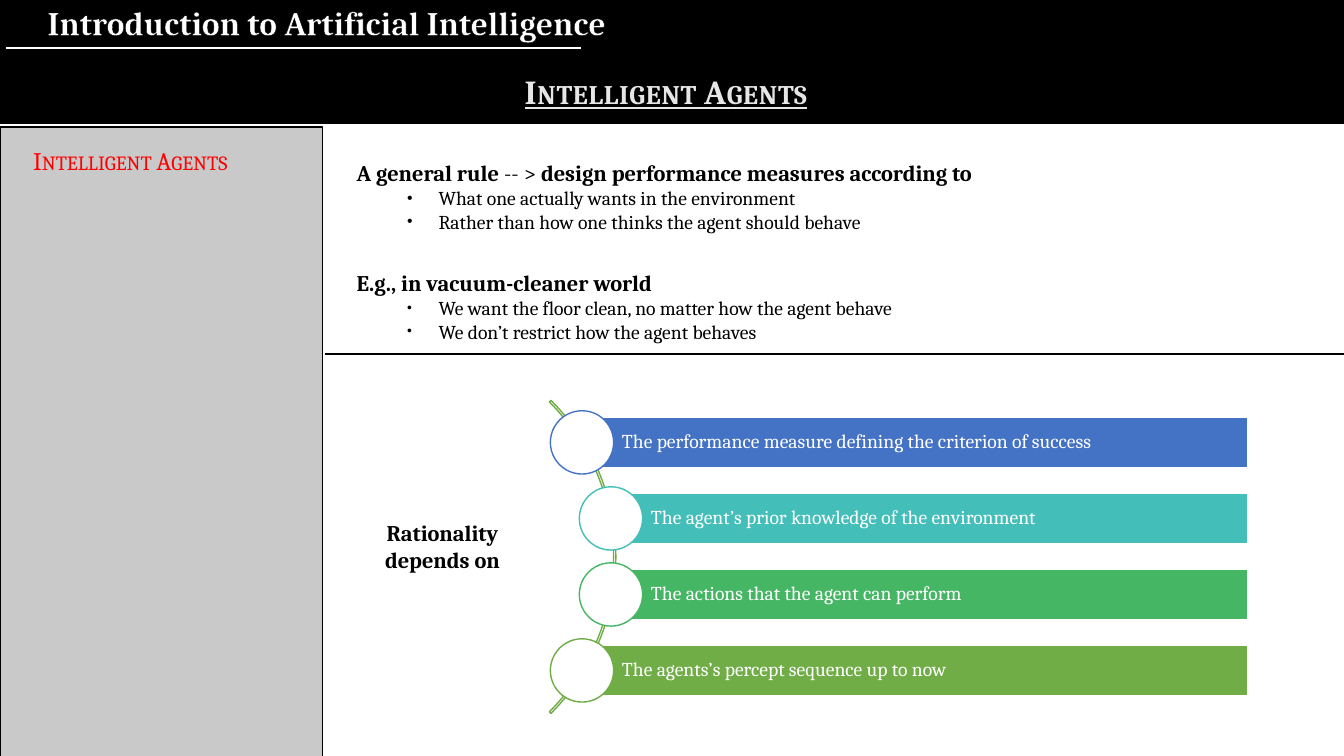
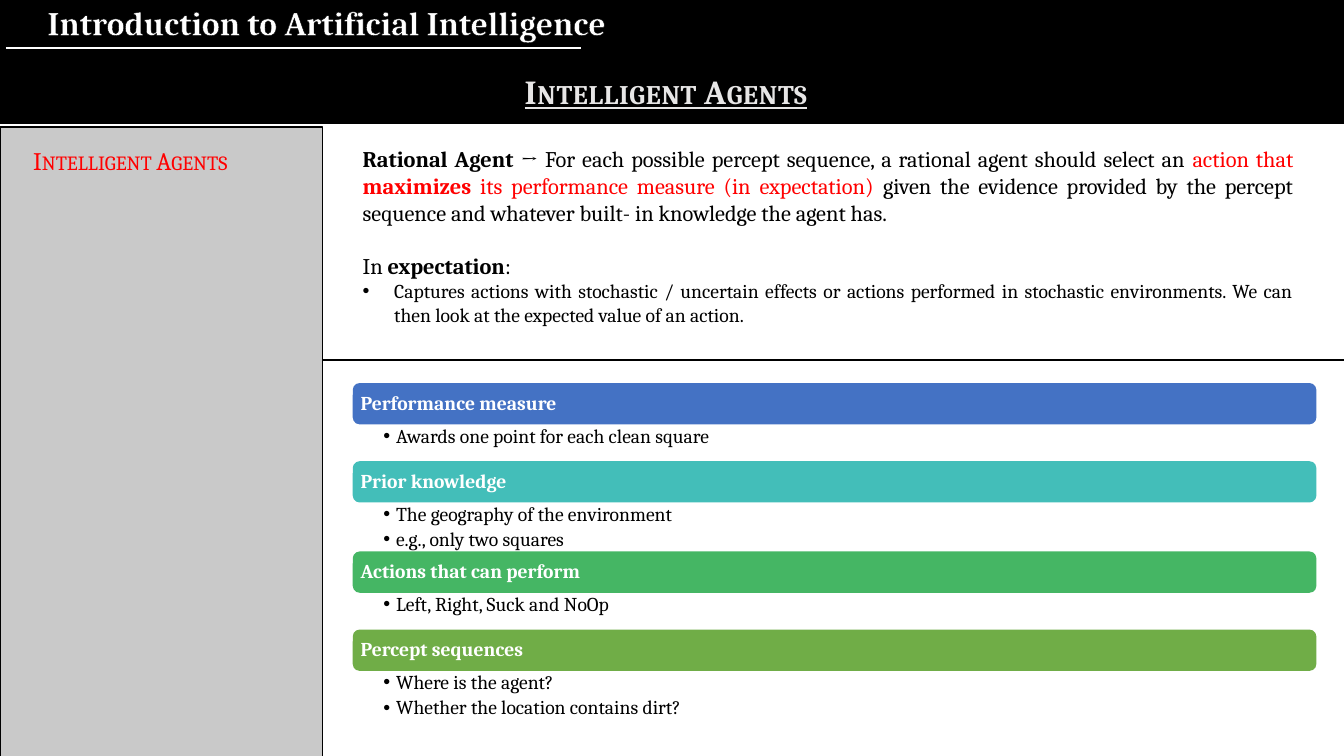
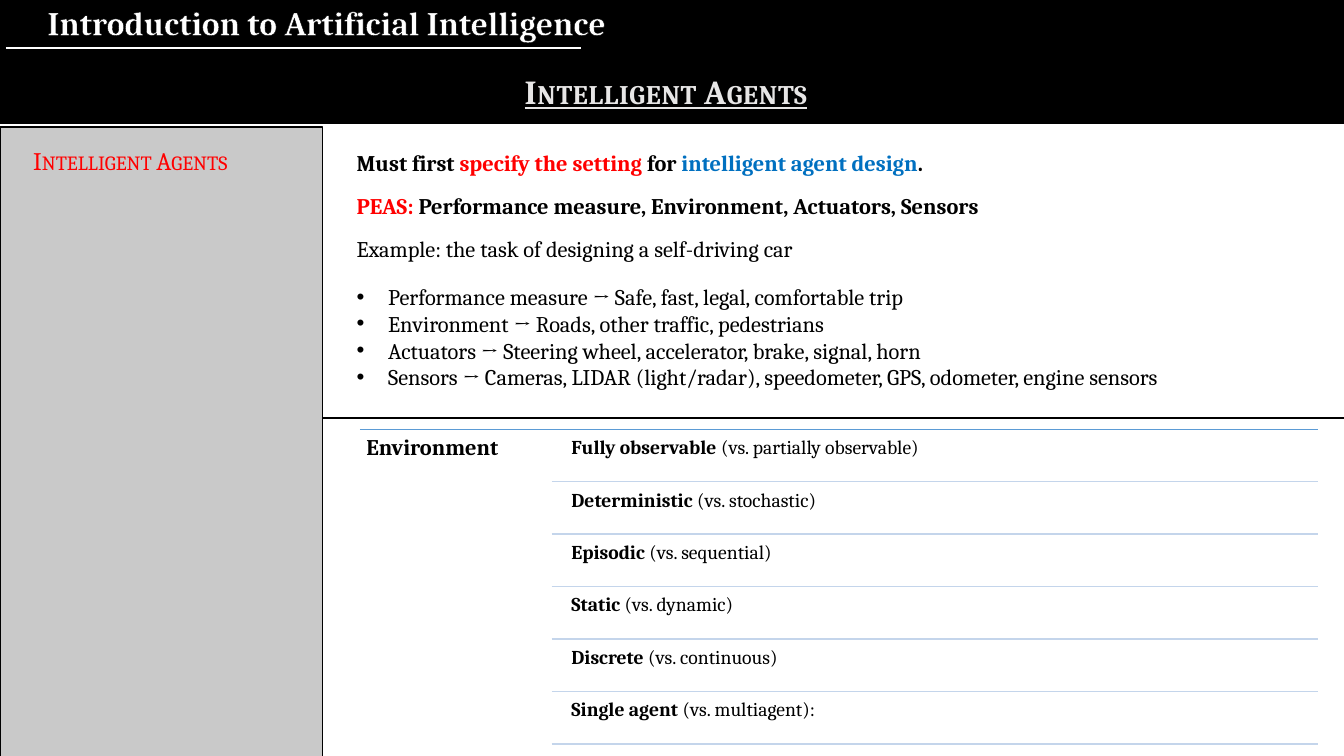
from collections import namedtuple

from lxml import etree
from pptx import Presentation
from pptx import util as u
from pptx.dml import color as c
from pptx.enum import shapes, text
from pptx.oxml import ns

Pt = u.Pt
Box = namedtuple("Box", "left top width height")

BLACK = c.RGBColor(0x00, 0x00, 0x00)
WHITE = c.RGBColor(0xFF, 0xFF, 0xFF)
PALE = c.RGBColor(0xE7, 0xE6, 0xE6)
GREY = c.RGBColor(0xC9, 0xC9, 0xC9)
RED = c.RGBColor(0xFF, 0x00, 0x00)
STRONG_BLUE = c.RGBColor(0x00, 0x70, 0xC0)
SKY = c.RGBColor(0x5B, 0x9B, 0xD5)
PALE_BLUE = c.RGBColor(0xC4, 0xD5, 0xEB)
BLUE = c.RGBColor(0x44, 0x72, 0xC4)
TEAL = c.RGBColor(0x43, 0xBE, 0xB9)
GREEN = c.RGBColor(0x45, 0xB6, 0x64)
OLIVE = c.RGBColor(0x70, 0xAD, 0x47)
ACCENTS = (BLUE, TEAL, GREEN, OLIVE)

FONT = "Cambria"
CENTER = text.PP_ALIGN.CENTER
LEFT = text.PP_ALIGN.LEFT
JUSTIFY = text.PP_ALIGN.JUSTIFY
SUBPOINT = dict(size=14, level=1, margin=58.5, hanging=22.5)
POINT = dict(margin=22.5, hanging=22.5, bullet=100)


def place(shape, box):
    shape.left, shape.top, shape.width, shape.height = (Pt(v) for v in box)


def set_frame(frame, wrap=True, grow=True, insets=None, anchor=text.MSO_ANCHOR.TOP):
    frame.word_wrap = wrap
    frame.auto_size = (
        text.MSO_AUTO_SIZE.SHAPE_TO_FIT_TEXT if grow else text.MSO_AUTO_SIZE.NONE
    )
    frame.vertical_anchor = anchor
    if insets:
        (frame.margin_left, frame.margin_top,
         frame.margin_right, frame.margin_bottom) = (Pt(v) for v in insets)
    return frame


def add_text_box(page, box, **options):
    shape = page.shapes.add_textbox(*(Pt(v) for v in box))
    return set_frame(shape.text_frame, **options)


def add_block(page, kind, box, fill=None, line=None):
    shape = page.shapes.add_shape(kind, *(Pt(v) for v in box))
    shape.shadow.inherit = False
    if fill is None:
        shape.fill.background()
    else:
        shape.fill.solid()
        shape.fill.fore_color.rgb = fill
    if line is None:
        shape.line.fill.background()
    else:
        shape.line.color.rgb = line
        shape.line.width = Pt(1)
    return shape


def add_rule(page, left, right, y, color=BLACK, width=1.5):
    rule = page.shapes.add_connector(
        shapes.MSO_CONNECTOR.STRAIGHT, Pt(left), Pt(y), Pt(right), Pt(y)
    )
    rule.line.color.rgb = color
    rule.line.width = Pt(width)
    etree.SubElement(rule.element.spPr, ns.qn("a:effectLst"))


def set_bullet(para, margin, hanging, bullet):
    props = para._p.get_or_add_pPr()
    props.set("marL", str(Pt(margin)))
    props.set("indent", str(-Pt(hanging)))
    etree.SubElement(props, ns.qn("a:buSzPct")).set("val", str(bullet * 1000))
    etree.SubElement(props, ns.qn("a:buFont")).set("typeface", "Arial")
    etree.SubElement(props, ns.qn("a:buChar")).set("char", "•")


def write(frame, words, size=16, color=BLACK, bold=False, underline=None,
          small_caps=False, tracking=None, outline=None, align=LEFT, spacing=None,
          before=0, after=0, level=0, margin=0, hanging=0, bullet=None):
    para = frame.paragraphs[0]
    if para.runs:
        para = frame.add_paragraph()
    para.alignment = align
    para.level = level
    para.space_before, para.space_after = Pt(before), Pt(after)
    if spacing:
        para.line_spacing = spacing
    if bullet:
        set_bullet(para, margin, hanging, bullet)
    pieces = [(words, {})] if isinstance(words, str) else words
    for piece, change in pieces:
        span = para.add_run()
        span.text = piece
        font = span.font
        font.name, font.size = FONT, Pt(size)
        font.bold = change.get("bold", bold)
        font.underline = underline
        font.color.rgb = change.get("color", color)
        props = span._r.get_or_add_rPr()
        if small_caps:
            props.set("cap", "small")
        if tracking:
            props.set("spc", str(int(tracking * 100)))
        if outline is not None:
            line = etree.Element(ns.qn("a:ln"), w=str(Pt(1)))
            fill = etree.SubElement(line, ns.qn("a:solidFill"))
            etree.SubElement(fill, ns.qn("a:srgbClr")).set("val", str(outline))
            props.insert(0, line)


def add_page(deck):
    page = deck.slides.add_slide(deck.slide_layouts[5])
    add_header(page, Box(0, 0, 961, 88))
    add_sidebar(page, Box(0, 90.7, 230.4, 450.7))
    return page


def add_header(page, box):
    band = add_block(page, shapes.MSO_SHAPE.RECTANGLE, box, BLACK, BLACK)
    title = page.shapes.title
    band.element.addnext(title.element)
    place(title, Box(box.left + 0.7, box.top + 46.8, 959, 36))
    write(set_frame(title.text_frame), "Intelligent Agents", size=24, color=PALE,
          bold=True, underline=True, small_caps=True, tracking=0.5, align=CENTER)
    add_rule(page, box.left + 4.3, box.left + 414.7, box.top + 34.4, WHITE)
    course = add_text_box(page, Box(box.left - 5.8, box.top - 2.2, 478, 36), wrap=False)
    write(course, "Introduction to Artificial Intelligence", size=24, color=WHITE,
          bold=True, outline=BLACK, align=CENTER)


def add_sidebar(page, box):
    add_block(page, shapes.MSO_SHAPE.RECTANGLE, box, GREY, BLACK)
    topic = add_text_box(page, Box(box.left + 16.6, box.top + 9.4, 179.3, 29), wrap=False)
    write(topic, "Intelligent Agents", size=18, color=RED, small_caps=True)


def add_rules_of_design(page, box):
    general = add_text_box(page, Box(box.left, box.top, box.width, 70.6))
    write(general, [("A general rule ", {}), ("-- > ", {"bold": False}),
                    ("design performance measures according to", {})],
          bold=True, spacing=1.5)
    for line in ("What one actually wants in the environment",
                 "Rather than how one thinks the agent should behave"):
        write(general, line, bullet=80, **SUBPOINT)
    example = add_text_box(page, Box(box.left, box.top + 87.9, box.width, 60.5))
    write(example, "E.g., in vacuum-cleaner world", bold=True)
    for line in ("We want the floor clean, no matter how the agent behave",
                 "We don’t restrict how the agent behaves"):
        write(example, line, bullet=70, **SUBPOINT)


def add_rationality_factors(page, box, factors):
    label = add_text_box(page, Box(box.left, box.top + 127.2, 136.8, 46))
    write(label, "Rationality depends on", bold=True, align=CENTER)
    arc = add_block(page, shapes.MSO_SHAPE.BLOCK_ARC,
                    Box(box.left - 123.8, box.top, 316, 316), line=OLIVE)
    for index, value in enumerate((189, 27, 0.005)):
        arc.adjustments[index] = value
    step, height, circle = 54.3, 36, 45.2
    right = box.left + box.width
    for index, (factor, accent) in enumerate(zip(factors, ACCENTS)):
        outer = index in (0, len(factors) - 1)
        left = box.left + (168 if outer else 188.7)
        top = box.top + 58.2 + index * step
        bar = add_block(page, shapes.MSO_SHAPE.RECTANGLE,
                        Box(left, top, right - left, height), accent, WHITE)
        frame = set_frame(bar.text_frame, grow=False, insets=(28.6, 2.8, 2.8, 2.8),
                          anchor=text.MSO_ANCHOR.MIDDLE)
        write(frame, factor, size=14, color=WHITE, spacing=0.9)
        add_block(page, shapes.MSO_SHAPE.OVAL,
                  Box(left - circle / 2, top + (height - circle) / 2, circle, circle),
                  WHITE, accent)


def add_rational_agent(page, box):
    frame = add_text_box(page, box)
    write(frame, [
        ("Rational Agent ", {"bold": True}),
        ("→ For each possible percept sequence, a rational agent should select an ", {}),
        ("action that ", {"color": RED}),
        ("maximizes", {"color": RED, "bold": True}),
        (" its performance measure (in expectation) ", {"color": RED}),
        ("given the evidence provided by the percept sequence and whatever built- in "
         "knowledge the agent has.", {}),
    ], align=JUSTIFY, after=19.2)
    write(frame, [("In ", {}), ("expectation", {"bold": True}), (":", {})], align=JUSTIFY)
    write(frame, "Captures actions with stochastic / uncertain effects or actions performed "
          "in stochastic environments. We can then look at the expected value of an action.",
          size=14, align=JUSTIFY, **POINT)


def add_headed_lists(page, box, groups):
    bar_height, top = 29.5, box.top
    for (heading, items), accent in zip(groups, ACCENTS):
        bar = add_block(page, shapes.MSO_SHAPE.ROUNDED_RECTANGLE,
                        Box(box.left, top, box.width, bar_height), accent)
        frame = set_frame(bar.text_frame, grow=False, insets=(4.2,) * 4,
                          anchor=text.MSO_ANCHOR.MIDDLE)
        write(frame, heading, size=14, color=WHITE, bold=True, spacing=0.9)
        top += bar_height
        list_height = 26.3 if len(items) == 1 else 35
        frame = add_text_box(page, Box(box.left, top, box.width, list_height),
                             grow=False, insets=(21.9, 1.3, 7.7, 1.3))
        for item in items:
            write(frame, item, size=14, spacing=0.9, after=2.8, level=1,
                  margin=9, hanging=9, bullet=100)
        top += list_height


def add_task_setting(page, box):
    frame = add_text_box(page, box)
    loose = dict(spacing=0.8, after=15.3)
    write(frame, [("Must first ", {}), ("specify the setting ", {"color": RED}),
                  ("for ", {}), ("intelligent agent design", {"color": STRONG_BLUE}),
                  (".", {})], bold=True, **loose)
    write(frame, [("PEAS: ", {"color": RED}),
                  ("Performance measure, Environment, Actuators, Sensors", {})],
          bold=True, **loose)
    write(frame, "Example: the task of designing a self-driving car", **loose)
    for line in (
        "Performance measure → Safe, fast, legal, comfortable trip",
        "Environment → Roads, other traffic, pedestrians",
        "Actuators → Steering wheel, accelerator, brake, signal, horn",
        "Sensors → Cameras, LIDAR (light/radar), speedometer, GPS, odometer, engine sensors",
    ):
        write(frame, line, **POINT)


def add_environment_list(page, box, properties):
    right = box.left + box.width
    step = box.height / len(properties)
    add_rule(page, box.left, right, box.top, SKY, 1)
    label = add_text_box(page, Box(box.left, box.top, 137, box.height),
                         grow=False, insets=(4.8,) * 4)
    write(label, "Environment", bold=True, spacing=0.9)
    for index, (name, opposite) in enumerate(properties):
        top = box.top + index * step
        frame = add_text_box(page, Box(box.left + 147, top + 1.8, box.width - 147, 35.5),
                             grow=False, insets=(4.2,) * 4)
        write(frame, [(name + " ", {"bold": True}), (opposite, {})], size=14, spacing=0.9)
        add_rule(page, box.left + 137, right, top + step, PALE_BLUE, 1)


def main():
    deck = Presentation()
    deck.slide_width, deck.slide_height = Pt(960), Pt(540)

    page = add_page(deck)
    add_rules_of_design(page, Box(247.7, 100.8, 682, 148.4))
    add_rule(page, 231.8, 961, 252.7)
    add_rationality_factors(page, Box(247.7, 239.8, 643.3, 316), (
        "The performance measure defining the criterion of success",
        "The agent’s prior knowledge of the environment",
        "The actions that the agent can perform",
        "The agents’s percept sequence up to now",
    ))

    page = add_page(deck)
    add_rational_agent(page, Box(252, 100, 679, 157.7))
    add_rule(page, 231, 960, 257)
    add_headed_lists(page, Box(252, 273.6, 688.3, 240.6), (
        ("Performance measure", ("Awards one point for each clean square",)),
        ("Prior knowledge", ("The geography of the environment", "e.g., only two squares")),
        ("Actions that can perform", ("Left, Right, Suck and NoOp",)),
        ("Percept sequences", ("Where is the agent?", "Whether the location contains dirt?")),
    ))

    page = add_page(deck)
    add_task_setting(page, Box(247.7, 106.6, 712, 177.8))
    add_rule(page, 231, 960, 298.8)
    add_environment_list(page, Box(257, 306.7, 684.7, 224.6), (
        ("Fully observable", "(vs. partially observable)"),
        ("Deterministic", "(vs. stochastic)"),
        ("Episodic", "(vs. sequential)"),
        ("Static", "(vs. dynamic)"),
        ("Discrete", "(vs. continuous)"),
        ("Single agent", "(vs. multiagent):"),
    ))

    deck.save("out.pptx")


if __name__ == "__main__":
    main()
